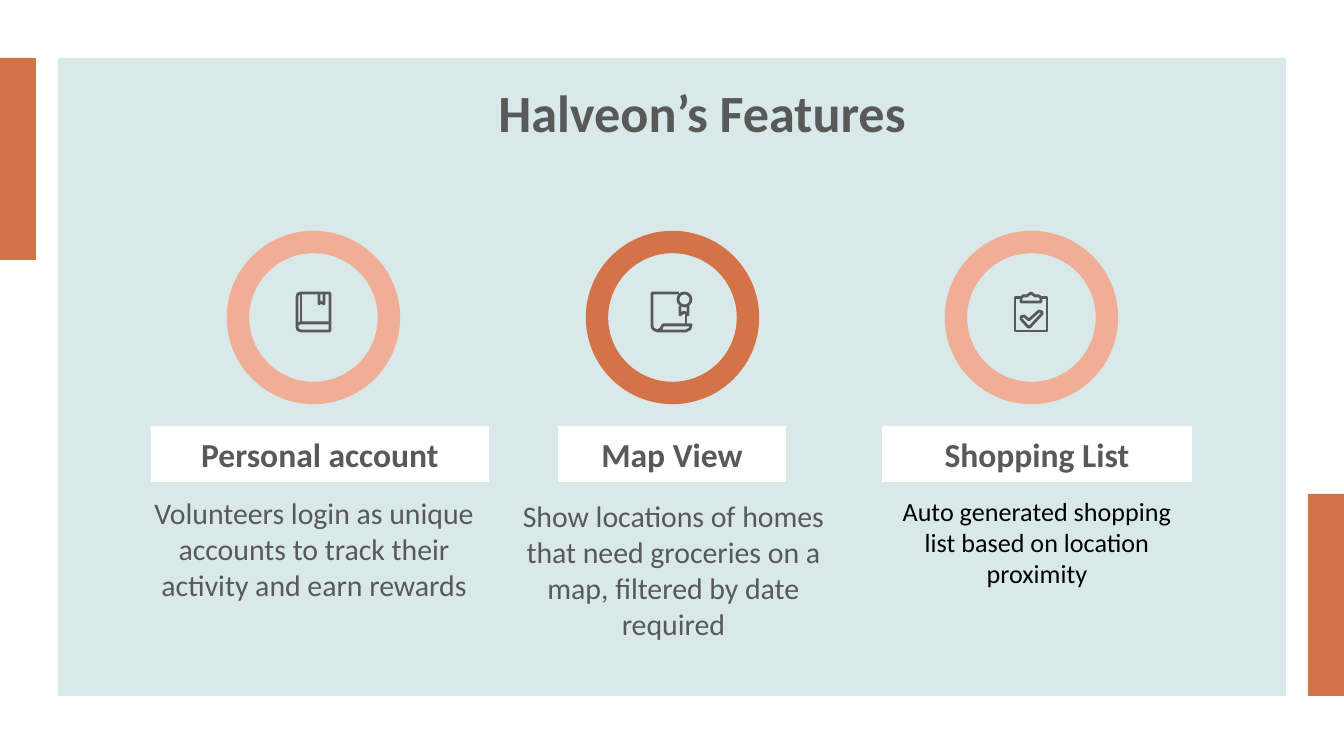
"""Build a slide presenting three app features with icons."""
from pptx import Presentation
from pptx.dml.color import RGBColor as RGB
from pptx.enum.shapes import MSO_SHAPE as Kind
from pptx.enum.text import MSO_ANCHOR as Anchor, PP_ALIGN as Align
from pptx.util import Pt

PX = 914400 / 134.4
COL = {"mint": "D9E9E9", "rust": "D47248", "peach": "F0AE96",
       "gray": "595959", "black": "000000", "white": "FFFFFF"}

deck = Presentation()
deck.slide_width, deck.slide_height = round(1344 * PX), round(756 * PX)
slide = deck.slides.add_slide(deck.slide_layouts[6])
shapes = slide.shapes


def draw(kind, box, fill, line=None, width=0):
    item = shapes.add_shape(kind, *[round(n * PX) for n in box])
    item.shadow.inherit = False
    if fill:
        item.fill.solid()
        item.fill.fore_color.rgb = RGB.from_string(COL[fill])
    else:
        item.fill.background()
    if line:
        item.line.color.rgb = RGB.from_string(COL[line])
        item.line.width = Pt(width)
    else:
        item.line.fill.background()
    return item


def write(item, text, size, color="gray", bold=False, anchor=Anchor.TOP):
    frame = item.text_frame
    frame.text = text
    frame.word_wrap = True
    frame.vertical_anchor = anchor
    frame.margin_left = frame.margin_right = round(13 * PX)
    frame.margin_top = frame.margin_bottom = round(13 * PX)
    para = frame.paragraphs[0]
    para.alignment = Align.CENTER
    font = para.runs[0].font
    font.name, font.size, font.bold = "Calibri", Pt(size), bold
    font.color.rgb = RGB.from_string(COL[color])


for box, fill in [((58, 58, 1228, 638), "mint"),
                  ((1308, 494, 36, 202), "rust"),
                  ((0, 58, 36, 202), "rust")]:
    draw(Kind.RECTANGLE, box, fill)

title = shapes.add_textbox(*[round(n * PX) for n in (106, 67, 1192, 85)])
write(title, "Halveon’s Features", 28, bold=True)

cards = [
    ("Personal account", (151, 338), "peach",
     "Volunteers login as unique accounts to track their activity and earn rewards",
     (121, 482, 386, 204), 16, "gray"),
    ("Map View", (558, 228), "rust",
     "Show locations of homes that need groceries on a map, filtered by date required",
     (505, 485, 337, 202), 16, "gray"),
    ("Shopping List", (882, 310), "peach",
     "Auto generated shopping list based on location proximity",
     (882, 482, 310, 176), 14, "black"),
]
for col, (name, (left, wide), ring, note, box, size, color) in enumerate(cards):
    draw(Kind.OVAL, (238 + col * 359, 242, 151, 151), "mint", ring, 12)
    label = draw(Kind.RECTANGLE, (left, 426, wide, 56), "white")
    write(label, name, 18, bold=True, anchor=Anchor.MIDDLE)
    body = shapes.add_textbox(*[round(n * PX) for n in box])
    write(body, note, size, color)

book = [
    [(301, 293), (330, 293), (330, 331), (301, 331), (298, 330), (297, 327),
     (297, 297), (298, 294), (301, 293)],
    [(297, 326), (298, 324), (301, 323), (330, 323)],
    [(301, 293), (301, 323)],
    [(319, 293), (319, 304), (321, 302), (324, 304), (324, 293)],
]
chart = [
    [(679, 293), (652, 293), (652, 326), (653, 329), (657, 331), (661, 329),
     (663, 325), (691, 325), (690, 329), (686, 331), (657, 331)],
    [(686, 325), (686, 314)],
    [(680, 306), (680, 315), (684, 312), (688, 315), (688, 306)],
]
board = [
    [(1021, 298), (1015, 298), (1015, 331), (1047, 331), (1047, 298), (1041, 298)],
    [(1021, 298), (1021, 302), (1041, 302), (1041, 298), (1039, 296), (1035, 296),
     (1031, 293), (1027, 296), (1023, 296), (1021, 298)],
    [(1039, 311), (1042, 312), (1042, 314), (1030, 327), (1028, 327), (1021, 319),
     (1021, 317), (1024, 316), (1029, 320), (1039, 311)],
]
for icon in (book, chart, board):
    pen = shapes.build_freeform(*icon[0][0], scale=PX)
    pen.add_line_segments(icon[0][1:], close=False)
    for start, *rest in icon[1:]:
        pen.move_to(*start)
        pen.add_line_segments(rest, close=False)
    mark = pen.convert_to_shape()
    mark.shadow.inherit = False
    mark.fill.background()
    mark.line.color.rgb = RGB.from_string(COL["gray"])
    mark.line.width = Pt(1.5)

draw(Kind.OVAL, (678, 293, 13, 13), None, "gray", 1.5)

deck.save("out.pptx")
